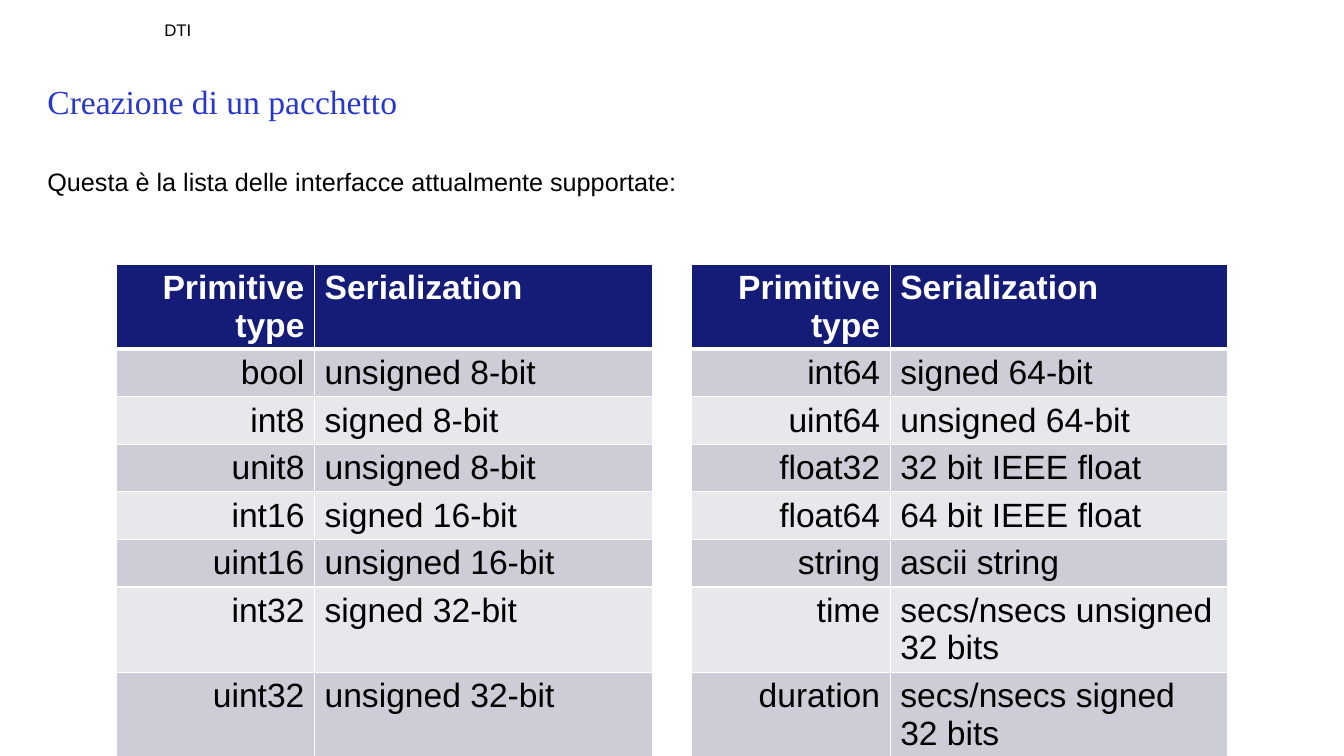
from lxml import etree
from pptx import Presentation
from pptx.dml.color import RGBColor
from pptx.enum.text import MSO_ANCHOR, MSO_AUTO_SIZE, PP_ALIGN
from pptx.oxml.ns import qn
from pptx.util import Inches, Pt

BLACK = RGBColor(0x00, 0x00, 0x00)
WHITE = RGBColor(0xFF, 0xFF, 0xFF)
TITLE_BLUE = RGBColor(0x28, 0x38, 0xC8)
HEADER_NAVY = RGBColor(0x14, 0x1C, 0x78)
BANDS = (RGBColor(0xCC, 0xCD, 0xD6), RGBColor(0xE7, 0xE8, 0xEC))

COLUMN_WIDTHS = (1.97, 3.35, 0.39, 1.97, 3.35)
GAP_COLUMN = 2
TYPE_COLUMNS = (0, 3)
ROW_HEIGHT = 0.41
HEADER = ("Primitive type", "Serialization")
LEFT_TYPES = (
    ("bool", "unsigned 8-bit"),
    ("int8", "signed 8-bit"),
    ("unit8", "unsigned 8-bit"),
    ("int16", "signed 16-bit"),
    ("uint16", "unsigned 16-bit"),
    ("int32", "signed 32-bit"),
    ("uint32", "unsigned 32-bit"),
)
RIGHT_TYPES = (
    ("int64", "signed 64-bit"),
    ("uint64", "unsigned 64-bit"),
    ("float32", "32 bit IEEE float"),
    ("float64", "64 bit IEEE float"),
    ("string", "ascii string"),
    ("time", "secs/nsecs unsigned 32 bits"),
    ("duration", "secs/nsecs signed 32 bits"),
)


def format_font(paragraph, size, color, name="Arial", bold=False):
    font = paragraph.font
    font.size, font.name, font.bold = Pt(size), name, bold
    font.color.rgb = color


def fill_text(shape, text, size, color, name="Arial"):
    frame = shape.text_frame
    frame.text = text
    frame.word_wrap = True
    frame.auto_size = MSO_AUTO_SIZE.NONE
    frame.vertical_anchor = MSO_ANCHOR.TOP
    frame.margin_left = frame.margin_right = 0
    frame.margin_top = frame.margin_bottom = 0
    paragraph = frame.paragraphs[0]
    paragraph.alignment = PP_ALIGN.LEFT
    format_font(paragraph, size, color, name)


def add_text(slide, box, text, size):
    shape = slide.shapes.add_textbox(*map(Inches, box))
    fill_text(shape, text, size, BLACK)


def place_title(slide, box, text):
    title = slide.shapes.title
    title.left, title.top, title.width, title.height = map(Inches, box)
    fill_text(title, text, 24, TITLE_BLUE, "Times New Roman")


def set_borders(cell, bottom_width):
    properties = cell._tc.get_or_add_tcPr()
    for side, width in (("L", 1), ("R", 1), ("T", 1), ("B", bottom_width)):
        line = etree.SubElement(properties, qn(f"a:ln{side}"), w=str(Pt(width)))
        solid = etree.SubElement(line, qn("a:solidFill"))
        etree.SubElement(solid, qn("a:srgbClr"), val=str(WHITE))


def format_cell(cell, row, column, text):
    is_header = row == 0
    set_borders(cell, 3 if is_header else 1)
    if column == GAP_COLUMN:
        cell.fill.background()
        return
    cell.fill.solid()
    cell.fill.fore_color.rgb = HEADER_NAVY if is_header else BANDS[(row - 1) % 2]
    cell.text = text
    paragraph = cell.text_frame.paragraphs[0]
    paragraph.alignment = PP_ALIGN.RIGHT if column in TYPE_COLUMNS else PP_ALIGN.LEFT
    format_font(paragraph, 24, WHITE if is_header else BLACK, bold=is_header)


def add_type_table(slide, left, top):
    # Two type lists side by side, parted by an empty column
    rows = [(*HEADER, "", *HEADER)]
    rows += [(*first, "", *second) for first, second in zip(LEFT_TYPES, RIGHT_TYPES)]
    table = slide.shapes.add_table(
        len(rows), len(COLUMN_WIDTHS), Inches(left), Inches(top),
        Inches(sum(COLUMN_WIDTHS)), Inches(ROW_HEIGHT * len(rows))).table
    for table_column, width in zip(table.columns, COLUMN_WIDTHS):
        table_column.width = Inches(width)
    for row, texts in enumerate(rows):
        table.rows[row].height = Inches(ROW_HEIGHT)
        for column, text in enumerate(texts):
            format_cell(table.cell(row, column), row, column, text)


def build_types_slide(presentation):
    slide = presentation.slides.add_slide(presentation.slide_layouts[5])
    # Department name, title and introduction
    add_text(slide, (1.63, 0.2, 9.93, 0.52), "DTI", 12)
    place_title(slide, (0.47, 0.8, 12.39, 0.79), "Creazione di un pacchetto")
    add_text(slide, (0.47, 1.65, 12.39, 0.6),
             "Questa è la lista delle interfacce attualmente supportate:", 18)
    # Supported types
    add_type_table(slide, 1.15, 2.62)


def main():
    presentation = Presentation()
    presentation.slide_width = Inches(13.33)
    presentation.slide_height = Inches(7.5)
    build_types_slide(presentation)
    presentation.save("out.pptx")


if __name__ == "__main__":
    main()
